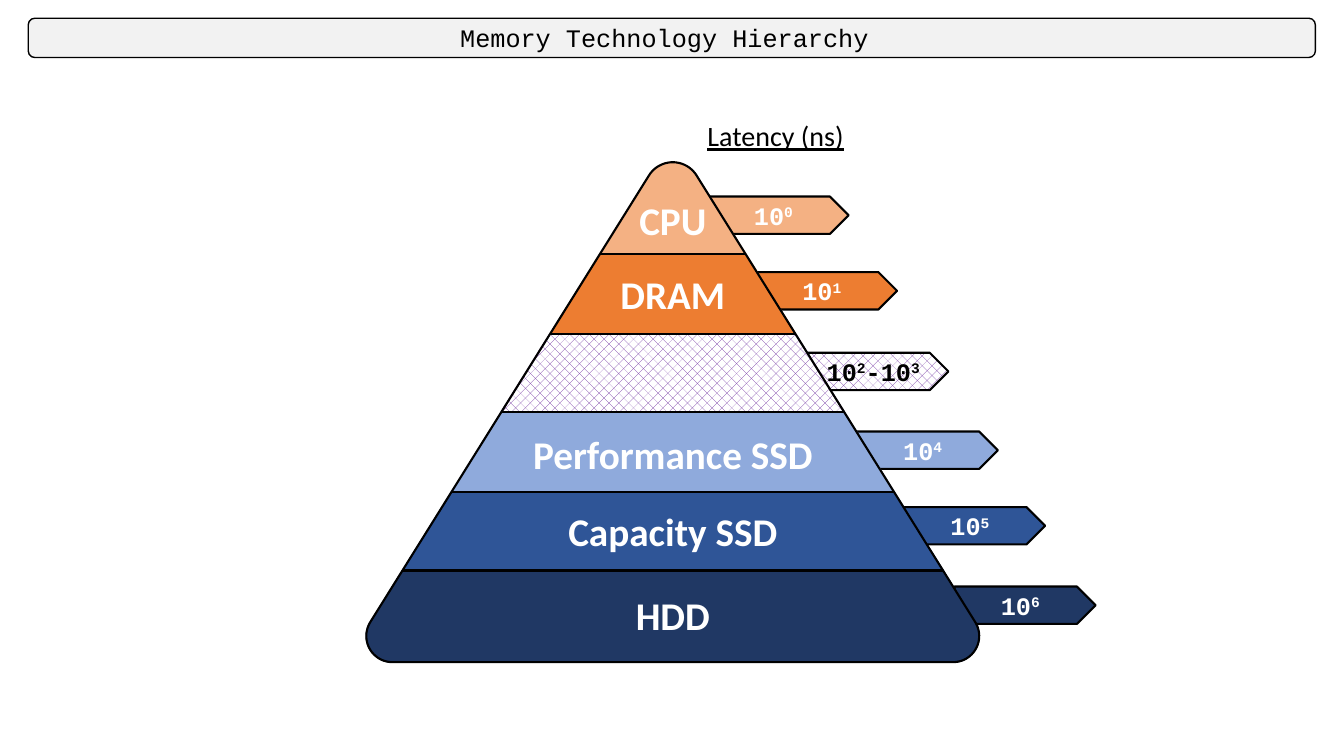
"""Build the memory technology hierarchy slide: a banded pyramid with latency tags."""
from dataclasses import dataclass
from math import atan, cos, degrees, radians, sin

from lxml.etree import SubElement
from pptx import Presentation
from pptx.dml.color import RGBColor
from pptx.enum.dml import MSO_PATTERN
from pptx.enum.shapes import MSO_CONNECTOR, MSO_SHAPE
from pptx.enum.text import MSO_ANCHOR, MSO_AUTO_SIZE, PP_ALIGN
from pptx.oxml.ns import qn
from pptx.shapes.autoshape import Shape
from pptx.slide import Slide
from pptx.util import Pt

Point = tuple[float, float]

BLACK, WHITE, PALE, PURPLE = "000000", "FFFFFF", "F2F2F2", "7030A0"
CENTER = 480.6
APEX, BASE = 115.9, 473.0
APEX_RADIUS, BASE_RADIUS = 20.0, 18.7
BASE_REACH = 200.2
SLOPE = 0.62
TILT = degrees(atan(SLOPE))
EDGE_TOP, EDGE_BOTTOM = 125.3, 444.4
EDGE_TOP_HALF, EDGE_BOTTOM_HALF = 17.0, 216.1
TAG_WIDTH, TAG_HEIGHT = 100.8, 26.7
LABEL_HEIGHT = 41.2

TITLE_FORMAT = {"name": "Courier New", "size": Pt(18), "bold": False}
TAG_FORMAT = {"name": "Courier New", "size": Pt(18), "bold": True}
BAND_FORMAT = {"name": "Calibri", "size": Pt(28), "bold": True}
HEADING_FORMAT = {"name": "Calibri", "size": Pt(20), "underline": True}


@dataclass(frozen=True)
class Tier:
    """One pyramid band; carets in the latency switch superscript on and off."""

    label: str
    color: str
    top: float
    bottom: float
    label_top: float
    label_width: float
    latency: str
    tag_left: float
    tag_top: float
    patterned: bool = False


TIERS = (
    Tier("CPU", "F4B183", APEX, 181.5, 136.1, 104, "10^0", 505.4, 140.4),
    Tier("DRAM", "ED7D31", 181.5, 238.5, 189.4, 174, "10^1", 540, 194.4),
    Tier("", PURPLE, 238.5, 294.5, 0, 0, "10^2^-10^3", 576.7, 252, True),
    Tier("Performance SSD", "8FAADC", 294.5, 351.4, 303.8, 245, "10^4", 612, 308.2),
    Tier("Capacity SSD", "2F5597", 351.4, 407.5, 358.6, 329, "10^5", 645.8, 362.2),
    Tier("HDD", "203864", 407.5, BASE, 418.3, 391, "10^6", 681.8, 419),
)


def rgb(value: str) -> RGBColor:
    """Turn a hex string into a colour."""
    return RGBColor.from_string(value)


def half_width(y: float) -> float:
    """Return the distance from the centre line to the slanted edge."""
    share = (y - EDGE_TOP) / (EDGE_BOTTOM - EDGE_TOP)
    return EDGE_TOP_HALF + share * (EDGE_BOTTOM_HALF - EDGE_TOP_HALF)


def arc(x: float, y: float, radius: float, start: float, end: float) -> list[Point]:
    """Return points along a circular arc, angles in degrees clockwise."""
    steps = 24
    angles = [radians(start + (end - start) * i / steps) for i in range(steps + 1)]
    return [(x + radius * cos(a), y + radius * sin(a)) for a in angles]


def outline(top: float, bottom: float) -> list[Point]:
    """Return the pyramid's contour between two heights, with rounded tips."""
    if top == APEX:
        upper = arc(CENTER, APEX + APEX_RADIUS, APEX_RADIUS, TILT - 180, -TILT)
    else:
        upper = [(CENTER - half_width(top), top), (CENTER + half_width(top), top)]
    if bottom == BASE:
        y = BASE - BASE_RADIUS
        lower = arc(CENTER + BASE_REACH, y, BASE_RADIUS, -TILT, 90)
        lower += arc(CENTER - BASE_REACH, y, BASE_RADIUS, 90, 180 + TILT)
    else:
        reach = half_width(bottom)
        lower = [(CENTER + reach, bottom), (CENTER - reach, bottom)]
    return upper + lower


def paint(shape: Shape, fill: str | None, line: str, width: float, patterned: bool = False) -> None:
    """Set fill and line, and drop the shadow."""
    shape.shadow.inherit = False
    if fill is None:
        shape.fill.background()
    elif patterned:
        shape.fill.patterned()
        shape.fill.pattern = MSO_PATTERN.PERCENT_30
        shape.fill.fore_color.rgb = rgb(fill)
        shape.fill.back_color.rgb = rgb(WHITE)
    else:
        shape.fill.solid()
        shape.fill.fore_color.rgb = rgb(fill)
    shape.line.color.rgb = rgb(line)
    shape.line.width = Pt(width)


def write(box: Shape, text: str, formats: dict, color: str, align: PP_ALIGN = PP_ALIGN.CENTER) -> None:
    """Write one paragraph, raising every second caret-separated part."""
    frame = box.text_frame
    frame.word_wrap = True
    frame.auto_size = MSO_AUTO_SIZE.NONE
    frame.vertical_anchor = MSO_ANCHOR.MIDDLE
    para = frame.paragraphs[0]
    para.alignment = align
    for index, part in enumerate(text.split("^")):
        span = para.add_run()
        span.text = part
        for name, value in formats.items():
            setattr(span.font, name, value)
        span.font.color.rgb = rgb(color)
        if index % 2:
            span._r.get_or_add_rPr().set("baseline", "30000")


def add_contour(page: Slide, points: list[Point]) -> Shape:
    """Draw a closed outline through the points."""
    corners = [(Pt(x), Pt(y)) for x, y in points]
    builder = page.shapes.build_freeform(*corners[0], scale=1.0)
    builder.add_line_segments(corners[1:], close=True)
    return builder.convert_to_shape()


def add_tag(page: Slide, tier: Tier) -> None:
    """Draw the latency arrow of a tier."""
    tag = page.shapes.add_shape(
        MSO_SHAPE.PENTAGON, Pt(tier.tag_left), Pt(tier.tag_top), Pt(TAG_WIDTH), Pt(TAG_HEIGHT))
    paint(tag, tier.color, BLACK, 1.5, tier.patterned)
    write(tag, tier.latency, TAG_FORMAT, BLACK if tier.patterned else WHITE)


def add_divider(page: Slide, y: float) -> None:
    """Draw the horizontal line between two bands."""
    reach = half_width(y)
    divider = page.shapes.add_connector(
        MSO_CONNECTOR.STRAIGHT, Pt(CENTER - reach), Pt(y), Pt(CENTER + reach), Pt(y))
    divider.line.color.rgb = rgb(BLACK)
    divider.line.width = Pt(1.5)
    SubElement(divider._element.spPr, qn("a:effectLst"))


def add_label(page: Slide, tier: Tier) -> None:
    """Write a tier's name on its band."""
    box = page.shapes.add_textbox(
        Pt(CENTER - tier.label_width / 2), Pt(tier.label_top), Pt(tier.label_width), Pt(LABEL_HEIGHT))
    write(box, tier.label, BAND_FORMAT, WHITE)


def add_title(page: Slide) -> None:
    """Draw the title bar and lay the title placeholder over it."""
    frame = {"left": Pt(20.2), "top": Pt(13), "width": Pt(919.4), "height": Pt(28.1)}
    bar = page.shapes.add_shape(MSO_SHAPE.ROUNDED_RECTANGLE, *frame.values())
    paint(bar, PALE, BLACK, 1)
    title = page.shapes.title
    for name, value in frame.items():
        setattr(title, name, value)
    write(title, "Memory Technology Hierarchy ", TITLE_FORMAT, BLACK)
    bar._element.addnext(title._element)


def main() -> None:
    """Build the deck and save it."""
    deck = Presentation()
    deck.slide_width, deck.slide_height = Pt(960), Pt(540)
    page = deck.slides.add_slide(deck.slide_layouts[5])
    add_title(page)
    for tier in reversed(TIERS):
        add_tag(page, tier)
    for tier in TIERS:
        band = add_contour(page, outline(tier.top, tier.bottom))
        paint(band, tier.color, tier.color, 1, tier.patterned)
    paint(add_contour(page, outline(APEX, BASE)), None, BLACK, 1.5)
    for tier in TIERS[1:]:
        add_divider(page, tier.top)
    for tier in TIERS:
        if tier.label:
            add_label(page, tier)
    heading = page.shapes.add_textbox(Pt(498.2), Pt(81), Pt(113.8), Pt(31.5))
    write(heading, "Latency (ns)", HEADING_FORMAT, BLACK, PP_ALIGN.LEFT)
    deck.save("out.pptx")


if __name__ == "__main__":
    main()
